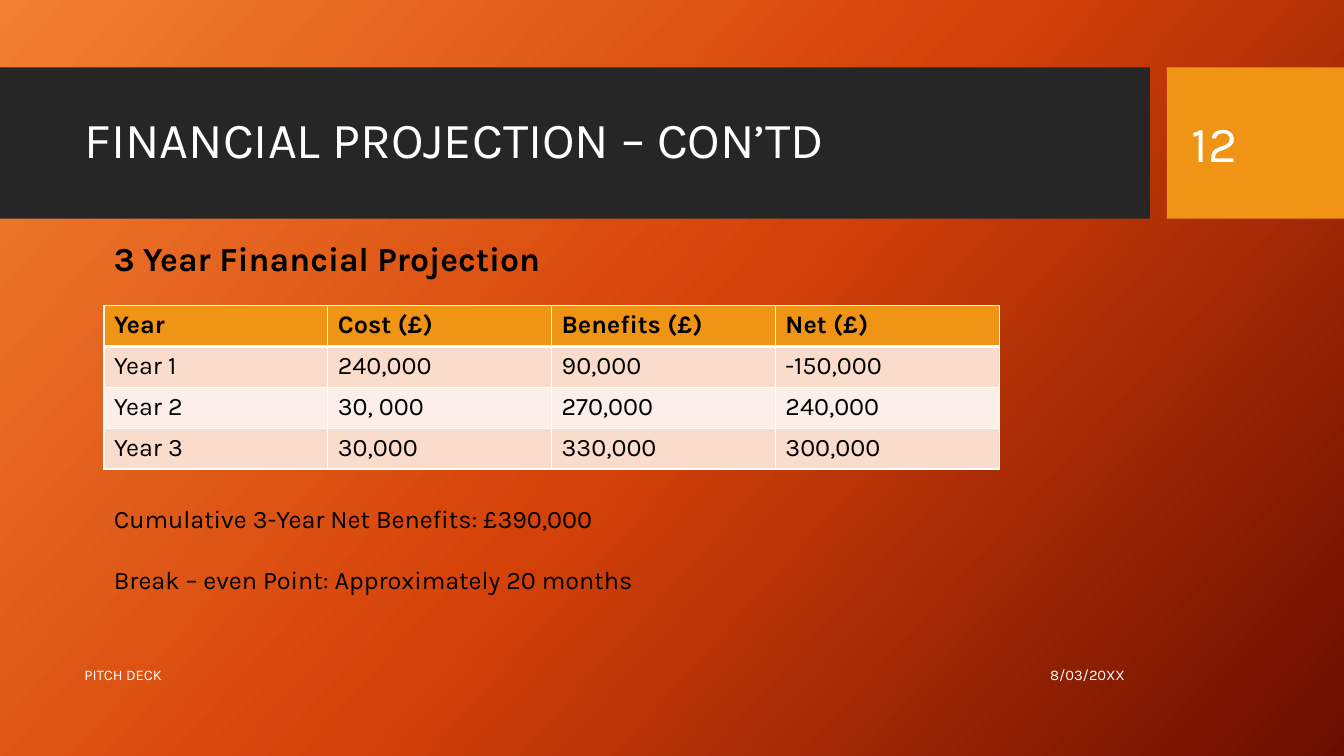
import copy

import lxml.etree
import pptx
import pptx.dml.color
import pptx.enum.shapes
import pptx.enum.text
import pptx.oxml.ns
import pptx.util

Cm = pptx.util.Cm
Pt = pptx.util.Pt
ALIGN = pptx.enum.text.PP_ALIGN
ANCHOR = pptx.enum.text.MSO_ANCHOR
qn = pptx.oxml.ns.qn

FONT = "Karla"
COLORS = {
    "white": "FFFFFF",
    "black": "000000",
    "bar": "262626",
    "accent": "F09415",
    "band_dark": "F9DCCC",
    "band_light": "FCEEE8",
}
BACKGROUND_STOPS = [(0, "F18031"), (0.5, "D54209"), (1, "6A0D00")]
BACKGROUND_ANGLE = 42

TITLE = "FINANCIAL PROJECTION – CON’TD"
HEADING = "3 Year Financial Projection"
PROJECTION = [
    ("Year", "Cost (£)", "Benefits (£)", "Net (£)"),
    ("Year 1", "240,000", "90,000", "-150,000"),
    ("Year 2", "30, 000", "270,000", "240,000"),
    ("Year 3", "30,000", "330,000", "300,000"),
]
CONCLUSIONS = [
    "Cumulative 3-Year Net Benefits: £390,000",
    "Break – even Point: Approximately 20 months",
]
FOOTER = "PITCH DECK"
DATE = "8/03/20XX"
PAGE_NUMBER = "12"

SLIDE_WIDTH, SLIDE_HEIGHT = 33.87, 19.05
MARGIN_LEFT, CONTENT_LEFT = 1.88, 2.62
BAND_TOP, BAND_HEIGHT, BAR_WIDTH, NUMBER_LEFT = 1.7, 3.81, 28.98, 29.41
TITLE_TOP, TITLE_HEIGHT = 2.08, 3.0
FOOTER_TOP, FOOTER_HEIGHT = 16.48, 1.02
TABLE_TOP, COLUMN_WIDTH, ROW_HEIGHT = 7.7, 5.64, 1.03


def rgb(name):
    return pptx.dml.color.RGBColor.from_string(COLORS[name])


def paint_background(slide):
    fill = slide.background.fill
    fill.gradient()
    fill.gradient_angle = 360 - BACKGROUND_ANGLE
    stop_list = fill._fill._gradFill.find(qn("a:gsLst"))
    stop_list.insert(1, copy.deepcopy(stop_list[0]))
    for stop, (position, color) in zip(fill.gradient_stops, BACKGROUND_STOPS):
        stop.position = position
        stop.color.rgb = pptx.dml.color.RGBColor.from_string(color)


def add_block(slide, left, width, color):
    block = slide.shapes.add_shape(
        pptx.enum.shapes.MSO_SHAPE.RECTANGLE,
        Cm(left), Cm(BAND_TOP), Cm(width), Cm(BAND_HEIGHT))
    block.shadow.inherit = False
    block.fill.solid()
    block.fill.fore_color.rgb = rgb(color)
    block.line.fill.background()


def write(paragraph, text, size, color, bold=False, align=ALIGN.LEFT):
    paragraph.alignment = align
    run = paragraph.add_run()
    run.text = text
    run.font.name = FONT
    run.font.size = Pt(size)
    run.font.bold = bold
    run.font.color.rgb = rgb(color)


def add_text(slide, box, lines, size, color, anchor=ANCHOR.MIDDLE, gap=0, **style):
    shape = slide.shapes.add_textbox(*map(Cm, box))
    frame = shape.text_frame
    frame.word_wrap = True
    frame.vertical_anchor = anchor
    for index, line in enumerate(lines):
        paragraph = frame.add_paragraph() if index else frame.paragraphs[0]
        if index:
            paragraph.space_before = Pt(gap)
        write(paragraph, line, size, color, **style)


def add_title(slide):
    title = slide.shapes.title
    slide.shapes.element.append(title.element)
    title.left, title.top = Cm(MARGIN_LEFT), Cm(TITLE_TOP)
    title.width, title.height = Cm(26.7), Cm(TITLE_HEIGHT)
    frame = title.text_frame
    frame.word_wrap = True
    frame.auto_size = pptx.enum.text.MSO_AUTO_SIZE.NONE
    frame.vertical_anchor = ANCHOR.MIDDLE
    frame.paragraphs[0].line_spacing = 0.9
    write(frame.paragraphs[0], TITLE, 36, "white")


def set_borders(cell, widths):
    properties = cell._tc.get_or_add_tcPr()
    for side, width in widths.items():
        line = lxml.etree.SubElement(properties, qn("a:ln" + side), w=str(Pt(width)))
        solid = lxml.etree.SubElement(line, qn("a:solidFill"))
        lxml.etree.SubElement(solid, qn("a:srgbClr"), val=COLORS["white"])


def add_projection_table(slide):
    rows, columns = len(PROJECTION), len(PROJECTION[0])
    table = slide.shapes.add_table(
        rows, columns, Cm(CONTENT_LEFT), Cm(TABLE_TOP),
        Cm(columns * COLUMN_WIDTH), Cm(rows * ROW_HEIGHT)).table
    for column in table.columns:
        column.width = Cm(COLUMN_WIDTH)
    for row_index, values in enumerate(PROJECTION):
        table.rows[row_index].height = Cm(ROW_HEIGHT)
        header = row_index == 0
        band = "band_dark" if row_index % 2 else "band_light"
        for column_index, value in enumerate(values):
            cell = table.cell(row_index, column_index)
            set_borders(cell, {"L": 1, "R": 1,
                               "T": 3 if row_index == 1 else 1,
                               "B": 3 if header else 1})
            cell.fill.solid()
            cell.fill.fore_color.rgb = rgb("accent" if header else band)
            write(cell.text_frame.paragraphs[0], value, 18, "black", bold=header)


def main():
    presentation = pptx.Presentation()
    presentation.slide_width = Cm(SLIDE_WIDTH)
    presentation.slide_height = Cm(SLIDE_HEIGHT)
    slide = presentation.slides.add_slide(presentation.slide_layouts[5])

    paint_background(slide)
    add_block(slide, 0, BAR_WIDTH, "bar")
    add_block(slide, NUMBER_LEFT, SLIDE_WIDTH - NUMBER_LEFT, "accent")
    add_title(slide)
    add_text(slide, (20.98, FOOTER_TOP, 7.62, FOOTER_HEIGHT), [DATE],
             10.5, "white", align=ALIGN.RIGHT)
    add_text(slide, (MARGIN_LEFT, FOOTER_TOP, 19.08, FOOTER_HEIGHT), [FOOTER],
             10.5, "white")
    add_text(slide, (29.79, TITLE_TOP, 3.2, TITLE_HEIGHT), [PAGE_NUMBER], 36, "white")
    add_projection_table(slide)
    add_text(slide, (CONTENT_LEFT, 12.55, 14.33, 2.57), CONCLUSIONS,
             18, "black", anchor=ANCHOR.TOP, gap=22)
    add_text(slide, (CONTENT_LEFT, 5.87, 18.36, 1.27), [HEADING],
             24, "black", anchor=ANCHOR.TOP, bold=True)
    presentation.save("out.pptx")


if __name__ == "__main__":
    main()
